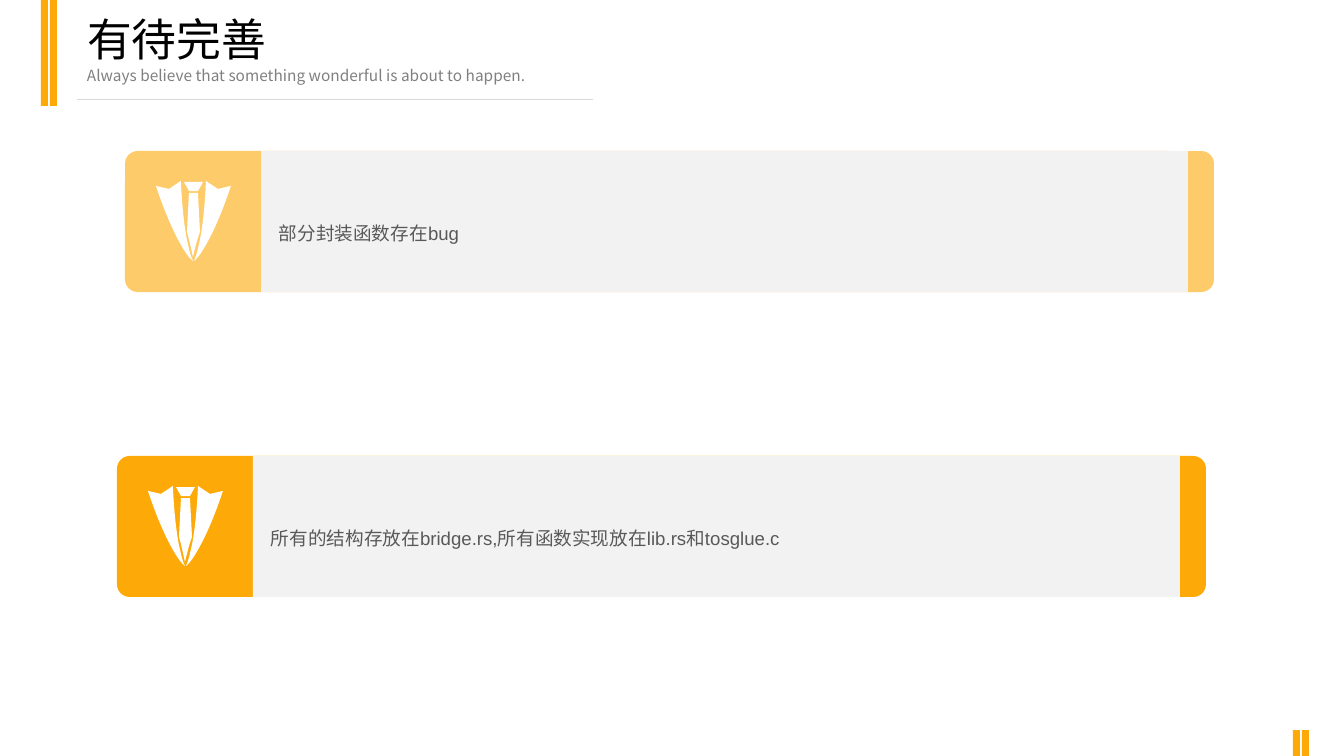
from pptx import Presentation
from pptx.dml.color import RGBColor
from pptx.enum.shapes import MSO_CONNECTOR, MSO_SHAPE
from pptx.enum.text import MSO_ANCHOR, MSO_AUTO_SIZE, PP_ALIGN
from pptx.oxml.ns import qn
from pptx.util import Emu, Pt

EMU_PER_PX = 914400 / 100.8
COLOURS = {
    "orange": "FDA907",
    "pale_orange": "FECB6A",
    "panel": "F2F2F2",
    "rule": "D9D9D9",
    "title": "000000",
    "subtitle": "808080",
    "body": "595959",
    "icon": "FFFFFF",
}
CJK_FONT = "Noto Sans CJK SC"

# Suit outlines in px from the card's corner: each step holds one point for a line,
# or two controls and an end for a curve.
KNOT = [[(73, 40)], [(78, 31)], [(59, 31)], [(64, 40)]]
TIE = [[(62, 81)], [(64, 87), (68, 106), (68, 106)],
       [(68, 106), (72, 88), (75, 81)], [(73, 42)], [(64, 42)]]
LAPEL = [[(56, 30)], [(44, 38)], [(31, 35)], [(44, 74), (55, 93), (61, 102)],
         [(65, 108), (68, 110), (68, 110)], [(65, 104), (64, 97), (62, 89)],
         [(57, 63), (56, 30), (56, 30)]]
SUIT_WIDTH = 137


def px(length):
    return Emu(round(length * EMU_PER_PX))


def colour(name):
    return RGBColor.from_string(COLOURS[name])


def fill_plain(shape, fill):
    shape.shadow.inherit = False
    shape.fill.solid()
    shape.fill.fore_color.rgb = colour(fill)
    shape.line.fill.background()


def add_block(shapes, kind, left, top, width, height, fill):
    shape = shapes.add_shape(kind, px(left), px(top), px(width), px(height))
    fill_plain(shape, fill)
    return shape


def write_text(shape, text, *, size, font, fill, line_spacing=None, space_before=0):
    frame = shape.text_frame
    frame.word_wrap = True
    frame.auto_size = MSO_AUTO_SIZE.SHAPE_TO_FIT_TEXT
    frame.vertical_anchor = MSO_ANCHOR.TOP
    paragraph = frame.paragraphs[0]
    paragraph.alignment = PP_ALIGN.LEFT
    paragraph.line_spacing = line_spacing
    paragraph.space_before = Pt(space_before)
    run = paragraph.add_run()
    run.text = text
    run.font.size = Pt(size)
    run.font.name = font
    run.font.color.rgb = colour(fill)
    properties = run.font._element
    east_asian = properties.makeelement(qn("a:ea"), {"typeface": CJK_FONT})
    properties.find(qn("a:latin")).addnext(east_asian)


def add_outline(shapes, left, top, steps, fill):
    """Draw a closed outline, joining each three-point step into one cubic curve."""
    points = [(px(left + x), px(top + y)) for step in steps for x, y in step]
    builder = shapes.build_freeform(*points[0])
    builder.add_line_segments(points[1:], close=True)
    shape = builder.convert_to_shape()
    fill_plain(shape, fill)
    segments = iter(list(shape._element.iter(qn("a:lnTo"))))
    for step in steps[1:]:
        first, *others = [next(segments) for _ in step]
        if others:
            first.tag = qn("a:cubicBezTo")
            for segment in others:
                first.append(segment[0])
                segment.getparent().remove(segment)


def add_suit_icon(slide, left, top):
    group = slide.shapes.add_group_shape()
    mirrored = [[(SUIT_WIDTH - x, y) for x, y in step] for step in LAPEL]
    for steps in (KNOT, TIE, LAPEL, mirrored):
        add_outline(group.shapes, left, top, steps, "icon")


def add_card(slide, left, top, accent, text):
    height = 141
    card = add_block(slide.shapes, MSO_SHAPE.ROUNDED_RECTANGLE,
                     left, top, 1089, height, accent)
    card.adjustments[0] = 0.09
    add_block(slide.shapes, MSO_SHAPE.RECTANGLE, left + 136, top, 927, height, "panel")
    box = slide.shapes.add_textbox(px(left + 144), px(top + 59), px(893), px(36))
    write_text(box, text, size=13.3, font="Arial", fill="body",
               line_spacing=1.3, space_before=8)
    add_suit_icon(slide, left, top)


def add_twin_bars(slide, left, top, height):
    group = slide.shapes.add_group_shape()
    for offset in (0, 9):
        add_block(group.shapes, MSO_SHAPE.RECTANGLE, left + offset, top, 7, height, "orange")


def add_header(slide, left, title, subtitle):
    add_twin_bars(slide, left, 0, 106)
    text_left = left + 36
    rule = slide.shapes.add_connector(
        MSO_CONNECTOR.STRAIGHT, px(text_left), px(100), px(text_left + 516), px(100))
    rule.line.color.rgb = colour("rule")
    rule.line.width = Pt(0.75)
    properties = rule._element.spPr
    properties.append(properties.makeelement(qn("a:effectLst"), {}))

    heading = slide.shapes.title
    heading.left, heading.top = px(text_left), px(7)
    heading.width, heading.height = px(874), px(65)
    write_text(heading, title, size=32, font="Arial Narrow", fill="title")
    tagline = slide.shapes.add_textbox(px(text_left), px(61), px(712), px(29))
    write_text(tagline, subtitle, size=11, font=CJK_FONT, fill="subtitle")


def main():
    presentation = Presentation()
    presentation.slide_width, presentation.slide_height = px(1344), px(756)
    slide = presentation.slides.add_slide(presentation.slide_layouts.get_by_name("Title Only"))
    add_header(slide, 41, "有待完善",
               "Always believe that something wonderful is about to happen.")
    add_card(slide, 125, 151, "pale_orange", "部分封装函数存在bug")
    add_card(slide, 117, 456, "orange",
             "所有的结构存放在bridge.rs,所有函数实现放在lib.rs和tosglue.c")
    add_twin_bars(slide, 1293, 730, 26)
    presentation.save("out.pptx")


if __name__ == "__main__":
    main()
